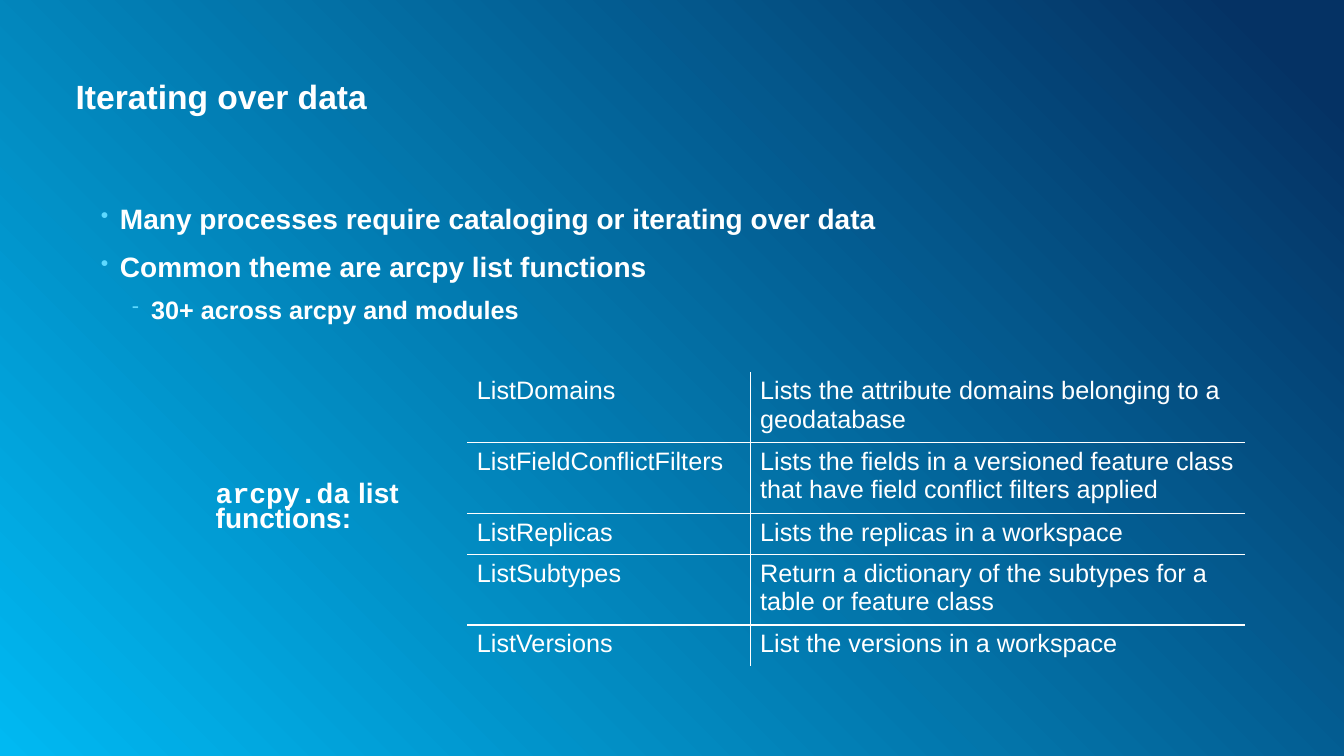
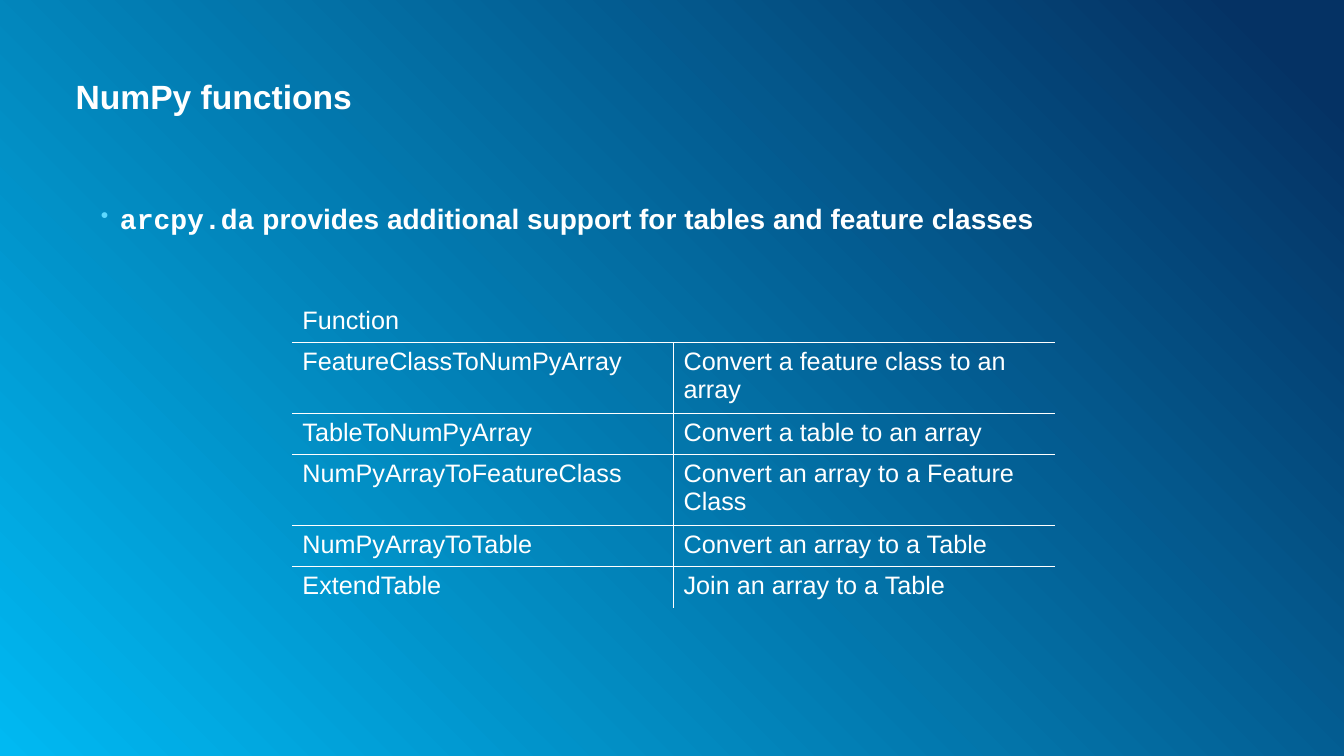
from lxml import etree
from pptx import Presentation
from pptx.dml.color import RGBColor as Rgb
from pptx.oxml import parse_xml
from pptx.oxml.ns import nsdecls, qn
from pptx.util import Inches, Pt

COLORS = {"text": "FFFFFF", "bullet": "5ED9FF", "glow": "00B9F2", "deep": "053264"}
SANS, MONO = "Arial", "Courier New"
PLAIN_TABLE = "{2D5ABB26-0587-4C30-8999-92F81FD0307C}"
CODE = ("arcpy.da", MONO)

# Bullet levels: mark, left margin, size, space before
LEVELS = [("•", 0.19, 20, 4), ("-", 0.5, 18, 2)]

# Content: bullets are (level, runs); tables hold rows of function and purpose
SLIDES = [
    {
        "title": "Iterating over data",
        "bullets": [
            (0, ["Many processes require cataloging or iterating over data"]),
            (0, ["Common theme are arcpy list functions"]),
            (1, ["30+ across arcpy and modules"]),
        ],
        "label": [CODE, " list", "\v", "functions:"],
        "place": (4.63, 3.69),
        "cols": (2.81, 4.91),
        "rows": [
            ("ListDomains", "Lists the attribute domains belonging to a geodatabase"),
            ("ListFieldConflictFilters",
             "Lists the fields in a versioned feature class that have field conflict filters applied"),
            ("ListReplicas", "Lists the replicas in a workspace"),
            ("ListSubtypes", "Return a dictionary of the subtypes for a table or feature class"),
            ("ListVersions", "List the versions in a workspace"),
        ],
    },
    {
        "title": "NumPy functions",
        "bullets": [
            (0, [CODE, " provides additional support for tables and feature classes"]),
        ],
        "place": (2.9, 2.99),
        "cols": (3.78, 3.78),
        "rows": [
            ("Function", ""),
            ("FeatureClassToNumPyArray", "Convert a feature class to an array"),
            ("TableToNumPyArray", "Convert a table to an array"),
            ("NumPyArrayToFeatureClass", "Convert an array to a Feature Class"),
            ("NumPyArrayToTable", "Convert an array to a Table"),
            ("ExtendTable", "Join an array to a Table"),
        ],
    },
]


def write(para, runs, size=20, bold=True, before=0, after=0, line=None):
    """Fill a paragraph; a run is text, or text with its font."""
    para.space_before, para.space_after = Pt(before), Pt(after)
    if line:
        para.line_spacing = Pt(line)
    for part in runs:
        if part == "\v":
            para.add_line_break()
            continue
        text, face = (part, SANS) if isinstance(part, str) else part
        run = para.add_run()
        run.text = text
        font = run.font
        font.name, font.size, font.bold = face, Pt(size), bold
        font.color.rgb = Rgb.from_string(COLORS["text"])


def add_box(slide, left, top, width, height):
    box = slide.shapes.add_textbox(*map(Inches, (left, top, width, height)))
    frame = box.text_frame
    frame.word_wrap = True
    frame.margin_left = frame.margin_right = 0
    frame.margin_top = frame.margin_bottom = 0
    return frame


def add_mark(para, mark, left):
    props = para._p.get_or_add_pPr()
    props.set("marL", str(Inches(left)))
    props.set("indent", str(-Inches(0.19)))
    color = etree.SubElement(props, qn("a:buClr"))
    etree.SubElement(color, qn("a:srgbClr"), val=COLORS["bullet"])
    etree.SubElement(props, qn("a:buSzPct"), val="80000")
    etree.SubElement(props, qn("a:buChar"), char=mark)


def add_bullets(slide, bullets):
    frame = add_box(slide, 1, 2, 11.34, 1.5)
    for i, (level, runs) in enumerate(bullets):
        para = frame.add_paragraph() if i else frame.paragraphs[0]
        mark, left, size, before = LEVELS[level]
        add_mark(para, mark, left)
        write(para, runs, size=size, before=before if i else 0, after=6)


def add_edge(cell, side):
    line = etree.SubElement(cell._tc.get_or_add_tcPr(), qn("a:ln" + side), w=str(Pt(1)))
    fill = etree.SubElement(line, qn("a:solidFill"))
    etree.SubElement(fill, qn("a:srgbClr"), val=COLORS["text"])


def add_grid(slide, place, cols, rows):
    """Table with lines only between its filled cells."""
    # Rows whose purpose outgrows its column take two lines
    heights = [0.66 if len(row[1]) > 8.5 * cols[1] else 0.41 for row in rows]
    size = (*place, sum(cols), sum(heights))
    table = slide.shapes.add_table(len(rows), len(cols), *map(Inches, size)).table
    table.first_row = table.horz_banding = False
    table._tbl.tblPr.find(qn("a:tableStyleId")).text = PLAIN_TABLE
    for col, width in zip(table.columns, cols):
        col.width = Inches(width)
    for r, row in enumerate(rows):
        table.rows[r].height = Inches(heights[r])
        for c, text in enumerate(row):
            cell = table.cell(r, c)
            edges = {"L": c > 0 and row[1], "R": c == 0 and row[1],
                     "T": r > 0, "B": r < len(rows) - 1}
            for side, shown in edges.items():
                if shown:
                    add_edge(cell, side)
            cell.fill.background()
            if text:
                write(cell.text_frame.paragraphs[0], [text], size=18, bold=False)


def set_back(master):
    """Shared backdrop: a glow that spreads from the lower left corner."""
    fill = master.background.fill
    fill.gradient()
    for stop, name, place in zip(fill.gradient_stops, ("glow", "deep"), (0, 0.95)):
        stop.color.rgb = Rgb.from_string(COLORS[name])
        stop.position = place
    grad = master.element.find(".//" + qn("a:gradFill"))
    spread = parse_xml(f'<a:path {nsdecls("a")} path="circle">'
                       '<a:fillToRect t="100000" r="100000"/></a:path>')
    grad.replace(grad.find(qn("a:lin")), spread)


def main():
    prs = Presentation()
    prs.slide_width, prs.slide_height = Inches(13.33), Inches(7.5)
    set_back(prs.slide_master)
    for data in SLIDES:
        slide = prs.slides.add_slide(prs.slide_layouts[6])
        title = add_box(slide, 0.75, 0.75, 11.84, 0.4)
        write(title.paragraphs[0], [data["title"]], size=24)
        add_bullets(slide, data["bullets"])
        if "label" in data:
            label = add_box(slide, 2.14, 4.8, 2.3, 0.5)
            write(label.paragraphs[0], data["label"], line=18)
        add_grid(slide, data["place"], data["cols"], data["rows"])
    prs.save("out.pptx")


if __name__ == "__main__":
    main()
